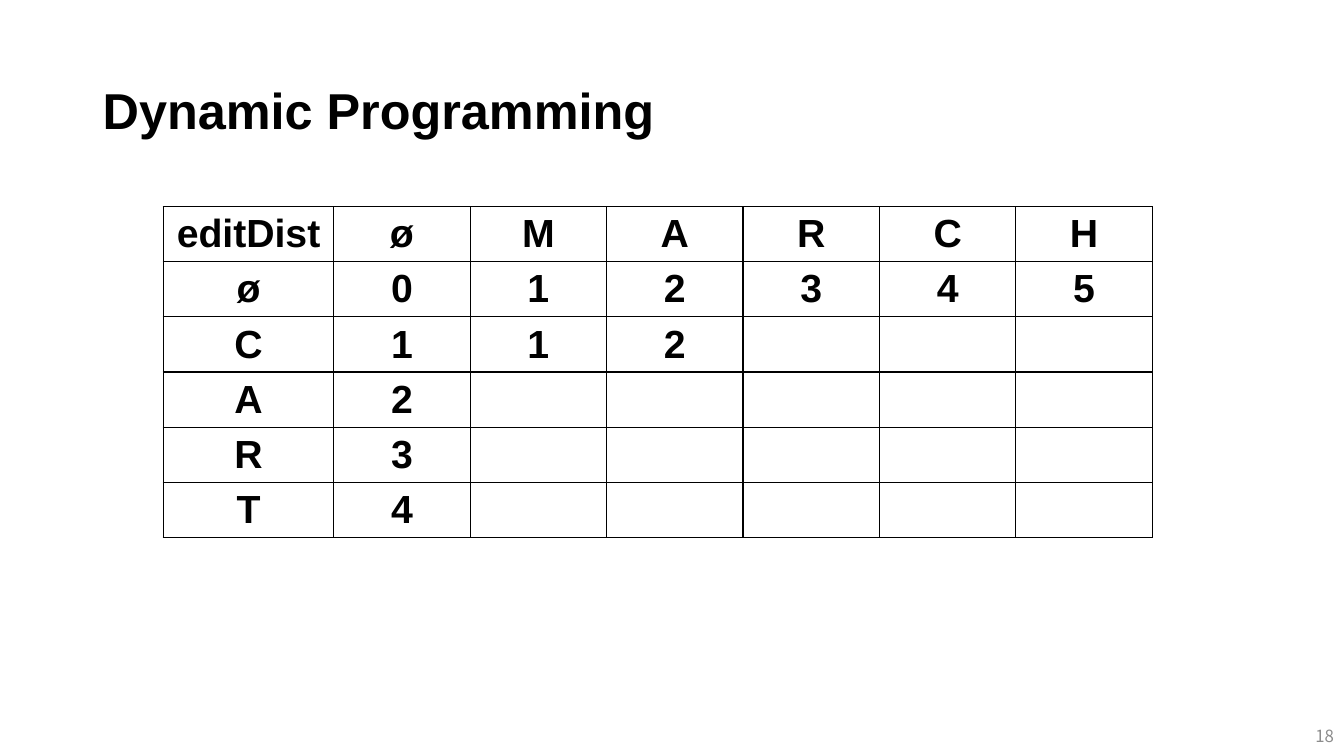
"""Build the edit distance table slide."""
from lxml.etree import SubElement as Sub
from pptx import Presentation
from pptx.dml.color import RGBColor
from pptx.enum.text import MSO_ANCHOR as Anchor, PP_ALIGN as Align
from pptx.oxml.ns import qn
from pptx.util import Inches, Pt

BLACK = RGBColor(0, 0, 0)
GREY = RGBColor(0x8C, 0x8C, 0x8C)
TITLE = "Dynamic Programming"
NUMBER = "18"
ROWS = [
    ["editDist", "ø", "M", "A", "R", "C", "H"],
    ["ø", "0", "1", "2", "3", "4", "5"],
    ["C", "1", "1", "2", "", "", ""],
    ["A", "2", "", "", "", "", ""],
    ["R", "3", "", "", "", "", ""],
    ["T", "4", "", "", "", "", ""],
]
LEFT, TOP, WIDTH, HEIGHT = 1.62, 2.05, 9.81, 3.2
FIRST = 1.69


def style(frame, size, name, color, bold, align):
    para = frame.paragraphs[0]
    para.alignment = align
    for run in para.runs:
        font = run.font
        font.size, font.name, font.bold = Pt(size), name, bold
        font.color.rgb = color
    return para


def add_text(slide, text, place, *look):
    frame = slide.shapes.add_textbox(*map(Inches, place)).text_frame
    frame.word_wrap = True
    frame.vertical_anchor = Anchor.MIDDLE
    frame.text = text
    return style(frame, *look)


def add_edges(cell):
    props = cell._tc.get_or_add_tcPr()
    for spot, side in enumerate(("lnL", "lnR", "lnT", "lnB")):
        line = props.makeelement(qn(f"a:{side}"), {"w": str(Pt(1))})
        fill = Sub(line, qn("a:solidFill"))
        Sub(fill, qn("a:srgbClr"), val=str(BLACK))
        props.insert(spot, line)


def add_grid(slide):
    count = len(ROWS[0])
    place = map(Inches, (LEFT, TOP, WIDTH, HEIGHT))
    table = slide.shapes.add_table(len(ROWS), count, *place).table
    table.first_row = table.horz_banding = False
    for col in table.columns:
        col.width = Inches((WIDTH - FIRST) / (count - 1))
    table.columns[0].width = Inches(FIRST)
    for r, row in enumerate(ROWS):
        table.rows[r].height = Inches(HEIGHT / len(ROWS))
        for c, text in enumerate(row):
            cell = table.cell(r, c)
            cell.fill.background()
            cell.vertical_anchor = Anchor.MIDDLE
            cell.margin_left = cell.margin_right = Inches(0.07)
            cell.margin_top = cell.margin_bottom = Inches(0.04)
            cell.text_frame.text = text
            style(cell.text_frame, 28, "Arial", BLACK, True, Align.CENTER)
            add_edges(cell)


def main():
    deck = Presentation()
    deck.slide_width, deck.slide_height = Inches(13.33), Inches(7.5)
    slide = deck.slides.add_slide(deck.slide_layouts[6])
    title = add_text(slide, TITLE, (0.92, 0.4, 11.5, 1.45),
                     36, "Arial", BLACK, True, Align.LEFT)
    title.line_spacing = 0.9
    add_text(slide, NUMBER, (10.33, 7.1, 3, 0.4),
             12, "Noto Sans CJK KR", GREY, False, Align.RIGHT)
    add_grid(slide)
    deck.save("out.pptx")


if __name__ == "__main__":
    main()
